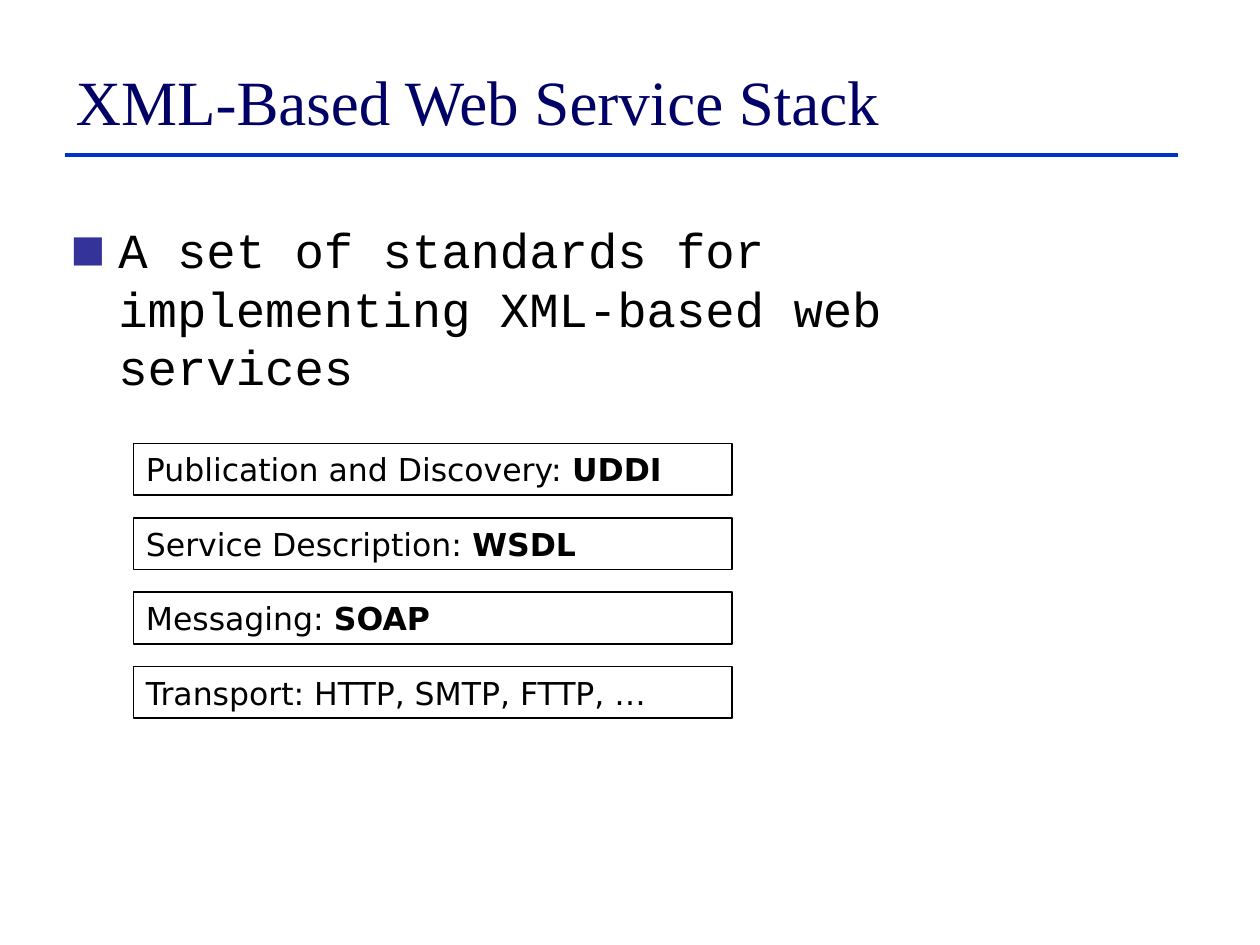
from lxml.etree import SubElement
from pptx import Presentation
from pptx.dml.color import RGBColor
from pptx.enum.shapes import MSO_CONNECTOR, MSO_SHAPE
from pptx.enum.text import MSO_ANCHOR, MSO_AUTO_SIZE, PP_ALIGN
from pptx.oxml.ns import qn
from pptx.util import Inches, Pt

COLS, ROWS = 100, 75


def color(text):
    return RGBColor.from_string(text)


class Deck:
    title_font = {"name": "Times New Roman", "size": Pt(36), "bold": False}
    body_font = {"name": "Courier New", "size": Pt(28), "bold": False}
    bar_font = {"name": "DejaVu Sans", "size": Pt(18), "bold": False}
    navy, blue, violet = "000066", "0033CC", "333399"
    black, white = "000000", "FFFFFF"

    def __init__(self):
        self.show = Presentation()
        self.show.slide_width = Inches(10)
        self.show.slide_height = Inches(7.5)
        self.slide = self.show.slides.add_slide(self.show.slide_layouts[1])

    def grid(self, col, row):
        wide, high = self.show.slide_width, self.show.slide_height
        return round(col * wide / COLS), round(row * high / ROWS)

    def box(self, col, row, wide, high):
        return *self.grid(col, row), *self.grid(wide, high)

    def place(self, shape, *spot):
        names = ("left", "top", "width", "height")
        for name, value in zip(names, self.box(*spot)):
            setattr(shape, name, value)

    def label(self, shape, parts, font, ink, anchor):
        frame = shape.text_frame
        looks = {"word_wrap": True, "auto_size": MSO_AUTO_SIZE.NONE,
                 "vertical_anchor": anchor}
        for name, value in looks.items():
            setattr(frame, name, value)
        para = frame.paragraphs[0]
        para.alignment = PP_ALIGN.LEFT
        for text, extra in parts:
            run = para.add_run()
            run.text = text
            for name, value in {**font, **extra}.items():
                setattr(run.font, name, value)
            run.font.color.rgb = color(ink)
        return para

    def title(self, text, *spot):
        shape = self.slide.shapes.title
        self.place(shape, *spot)
        para = self.label(shape, [(text, {})], self.title_font, self.navy,
                          MSO_ANCHOR.BOTTOM)
        para.line_spacing = 0.8

    def body(self, text, *spot):
        shape = self.slide.placeholders[1]
        self.place(shape, *spot)
        para = self.label(shape, [(text, {})], self.body_font, self.black,
                          MSO_ANCHOR.TOP)
        para.space_before = Pt(5.6)
        props = para._p.get_or_add_pPr()
        props.set("marL", str(Inches(0.38)))
        props.set("indent", str(-Inches(0.38)))
        tint = SubElement(props, qn("a:buClr"))
        SubElement(tint, qn("a:srgbClr"), val=self.violet)
        SubElement(props, qn("a:buSzPct"), val="75000")
        SubElement(props, qn("a:buFont"), typeface="DejaVu Sans")
        SubElement(props, qn("a:buChar"), char="■")

    def rule(self, left, right, row):
        line = self.slide.shapes.add_connector(
            MSO_CONNECTOR.STRAIGHT, *self.grid(left, row),
            *self.grid(right, row))
        line.line.color.rgb = color(self.blue)
        line.line.width = Pt(2.25)
        SubElement(line._element.spPr, qn("a:effectLst"))

    def bar(self, parts, *spot):
        shape = self.slide.shapes.add_shape(MSO_SHAPE.RECTANGLE,
                                            *self.box(*spot))
        shape.shadow.inherit = False
        shape.fill.solid()
        shape.fill.fore_color.rgb = color(self.white)
        shape.line.color.rgb = color(self.black)
        shape.line.width = Pt(1)
        self.label(shape, parts, self.bar_font, self.black,
                   MSO_ANCHOR.MIDDLE)


def main():
    deck = Deck()
    deck.rule(5.2, 93.5, 12.3)
    deck.title("XML-Based Web Service Stack", 5, 4.1, 89.2, 7.3)
    deck.body("A set of standards for implementing XML-based web services",
              4.6, 16.9, 85, 45)
    bold = {"bold": True}
    layers = [
        [("Publication and Discovery: ", {}), ("UDDI", bold)],
        [("Service Description: ", {}), ("WSDL", bold)],
        [("Messaging: ", {}), ("SOAP", bold)],
        [("Transport: HTTP, SMTP, FTTP, …", {})],
    ]
    for step, parts in enumerate(layers):
        deck.bar(parts, 10.6, 35.2 + 5.9 * step, 47.5, 4.1)
    deck.show.save("out.pptx")


if __name__ == "__main__":
    main()
